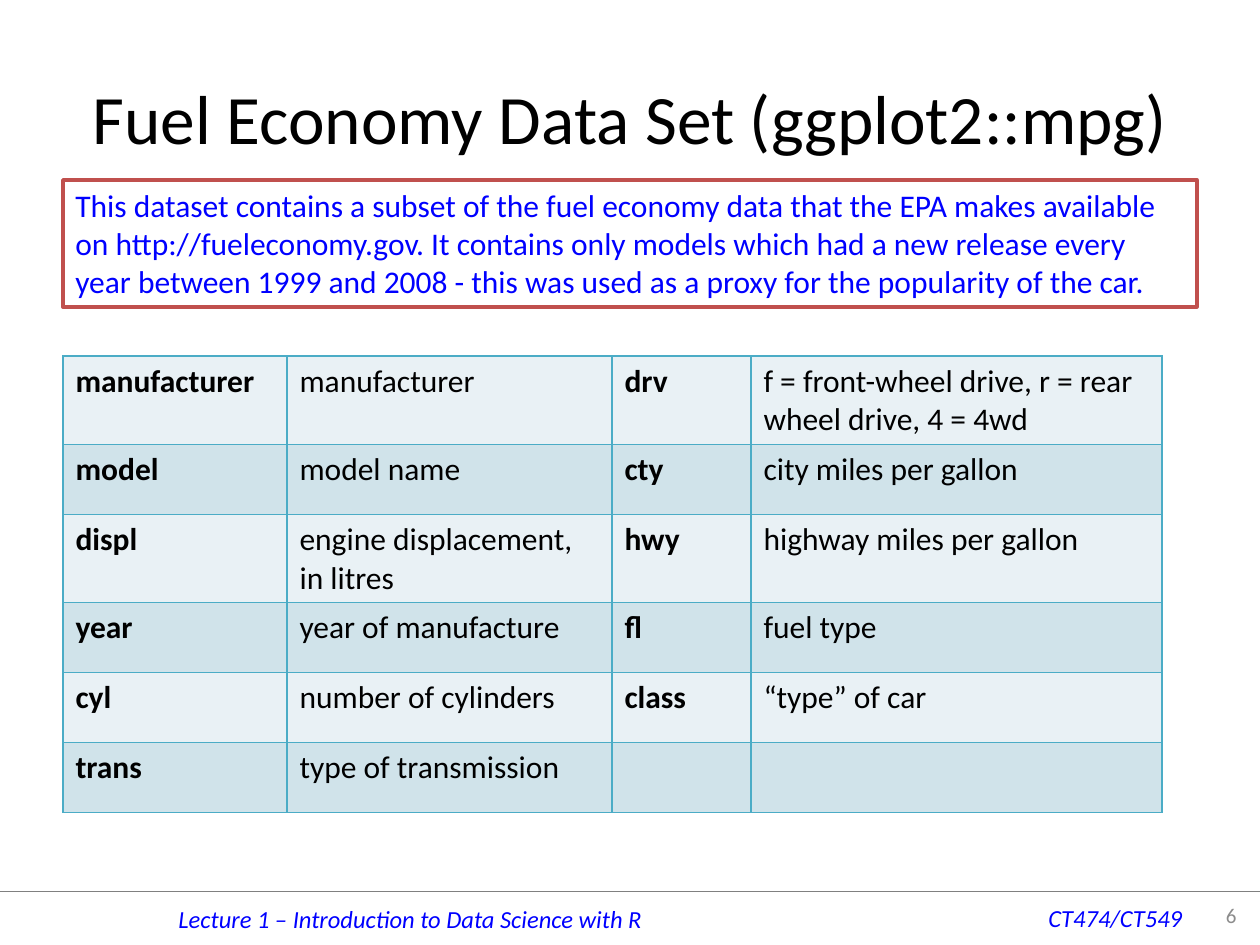
from dataclasses import dataclass

from lxml import etree
from pptx import Presentation
from pptx.dml.color import RGBColor
from pptx.enum.shapes import MSO_CONNECTOR, MSO_SHAPE
from pptx.enum.text import MSO_ANCHOR, PP_ALIGN
from pptx.oxml.ns import qn
from pptx.util import Emu, Pt

LEFT, MID, RIGHT = PP_ALIGN.LEFT, PP_ALIGN.CENTER, PP_ALIGN.RIGHT
TOP, CENTRE = MSO_ANCHOR.TOP, MSO_ANCHOR.MIDDLE
RECT, LINE = MSO_SHAPE.RECTANGLE, MSO_CONNECTOR.STRAIGHT

FONT = "Calibri"
SCALE = 914400 / 126
WIDE, HIGH = 1260, 945
COLORS = {
    "ink": "000000", "blue": "0000FF", "white": "FFFFFF", "red": "C0504D",
    "rule": "808080", "page": "8C8C8C", "edge": "4BACC6",
    "light": "E9F1F5", "dark": "D0E3EA",
}


@dataclass
class Label:
    text: str
    box: tuple[int, int, int, int]
    size: float
    color: str
    align: int = LEFT
    anchor: int = TOP
    italic: bool = False
    wrap: bool = True


LABELS = [
    Label("Lecture 1 – Introduction to Data Science with R",
          (166, 898, 513, 43), 14, "blue", italic=True, wrap=False),
    Label("CT474/CT549", (1036, 897, 161, 43), 14, "blue", italic=True, wrap=False),
    Label("Fuel Economy Data Set (ggplot2::mpg)",
          (63, 38, 1134, 158), 39.6, "ink", MID, CENTRE),
    Label("6", (1197, 891, 52, 49), 12, "page", RIGHT, CENTRE),
]

NOTE = Label(
    "This dataset contains a subset of the fuel economy data that the EPA makes "
    "available on http://fueleconomy.gov. It contains only models which had a new "
    "release every year between 1999 and 2008 - this was used as a proxy for the "
    "popularity of the car.", (63, 180, 1134, 127), 18, "blue")

COLS = (224, 325, 139, 411)
ROW = 70
FIELDS = [
    ("manufacturer", "manufacturer", "drv",
     "f = front-wheel drive, r = rear wheel drive, 4 = 4wd"),
    ("model", "model name", "cty", "city miles per gallon"),
    ("displ", "engine displacement, in litres", "hwy", "highway miles per gallon"),
    ("year", "year of manufacture", "fl", "fuel type"),
    ("cyl", "number of cylinders", "class", "“type” of car"),
    ("trans", "type of transmission", "", ""),
]


def px(n: int) -> Emu:
    return Emu(round(n * SCALE))


def rgb(name: str) -> RGBColor:
    return RGBColor.from_string(COLORS[name])


def style(para, size: float, color: str, bold=False, italic=False) -> None:
    for run in para.runs:
        font = run.font
        font.name, font.size = FONT, Pt(size)
        font.bold, font.italic = bold, italic
        font.color.rgb = rgb(color)


def write(shape, label: Label) -> None:
    frame = shape.text_frame
    frame.text = label.text
    frame.word_wrap = label.wrap
    frame.vertical_anchor = label.anchor
    para = frame.paragraphs[0]
    para.alignment = label.align
    style(para, label.size, label.color, italic=label.italic)


def add_label(slide, label: Label) -> None:
    write(slide.shapes.add_textbox(*map(px, label.box)), label)


def add_note(slide, label: Label) -> None:
    shape = slide.shapes.add_shape(RECT, *map(px, label.box))
    shape.shadow.inherit = False
    shape.fill.solid()
    shape.fill.fore_color.rgb = rgb("white")
    shape.line.color.rgb = rgb("red")
    shape.line.width = Pt(2)
    write(shape, label)


def add_rule(slide, y: int) -> None:
    rule = slide.shapes.add_connector(LINE, 0, px(y), px(WIDE), px(y))
    rule.line.color.rgb = rgb("rule")
    rule.line.width = Pt(0.25)
    etree.SubElement(rule._element.spPr, qn("a:effectLst"))


def edge(cell) -> None:
    props = cell._tc.get_or_add_tcPr()
    for i, side in enumerate(("lnL", "lnR", "lnT", "lnB")):
        line = etree.Element(qn(f"a:{side}"), w=str(Pt(1)))
        fill = etree.SubElement(line, qn("a:solidFill"))
        etree.SubElement(fill, qn("a:srgbClr"), val=COLORS["edge"])
        props.insert(i, line)


def add_fields(slide, x: int, y: int) -> None:
    table = slide.shapes.add_table(
        len(FIELDS), len(COLS), px(x), px(y),
        px(sum(COLS)), px(ROW * len(FIELDS))).table
    table.first_row = table.horz_banding = False
    for col, width in zip(table.columns, COLS):
        col.width = px(width)
    for r, texts in enumerate(FIELDS):
        table.rows[r].height = px(ROW)
        for c, text in enumerate(texts):
            cell = table.cell(r, c)
            cell.text = text
            style(cell.text_frame.paragraphs[0], 18, "ink", bold=c % 2 == 0)
            cell.fill.solid()
            cell.fill.fore_color.rgb = rgb("dark" if r % 2 else "light")
            edge(cell)


def main() -> None:
    deck = Presentation()
    deck.slide_width, deck.slide_height = px(WIDE), px(HIGH)
    slide = deck.slides.add_slide(deck.slide_layouts[6])

    # Footer rule, footer texts, title and page number
    add_rule(slide, 891)
    for label in LABELS:
        add_label(slide, label)

    # Variables of the data set, then the note above them
    add_fields(slide, 63, 356)
    add_note(slide, NOTE)

    deck.save("out.pptx")


if __name__ == "__main__":
    main()
